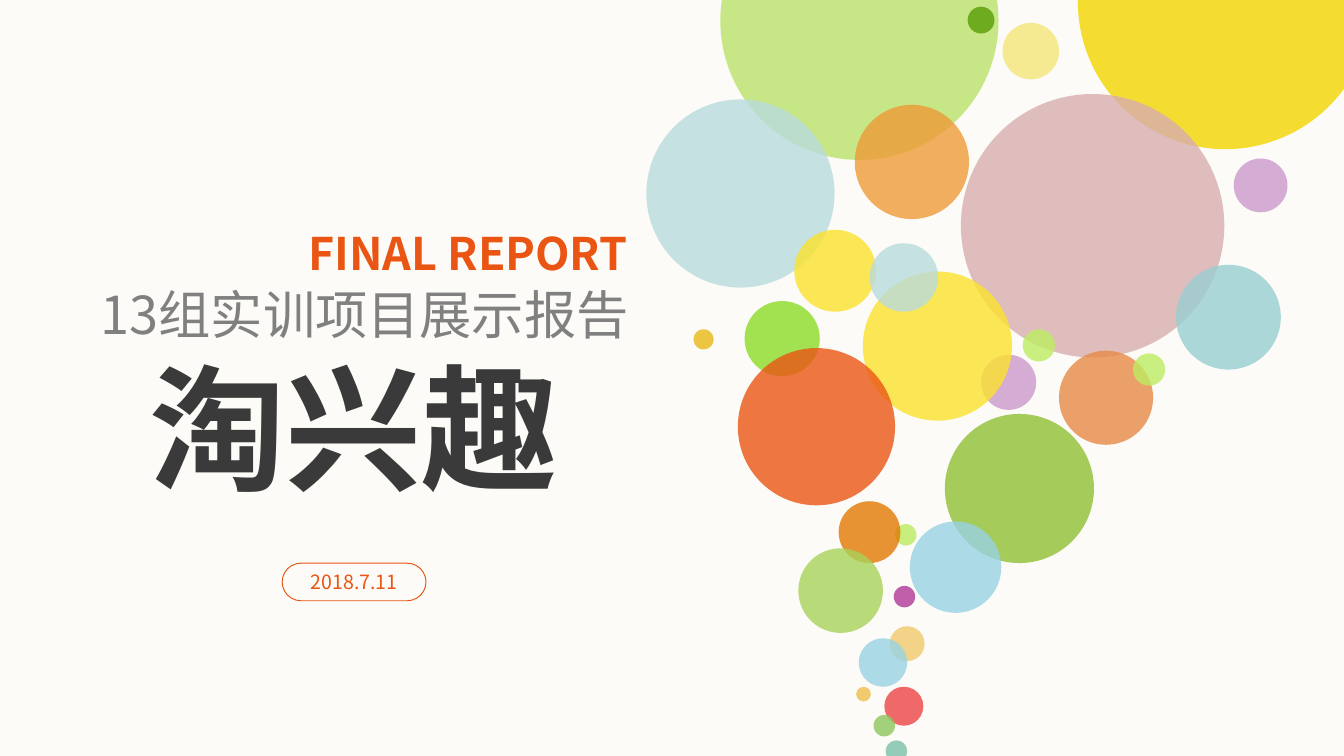
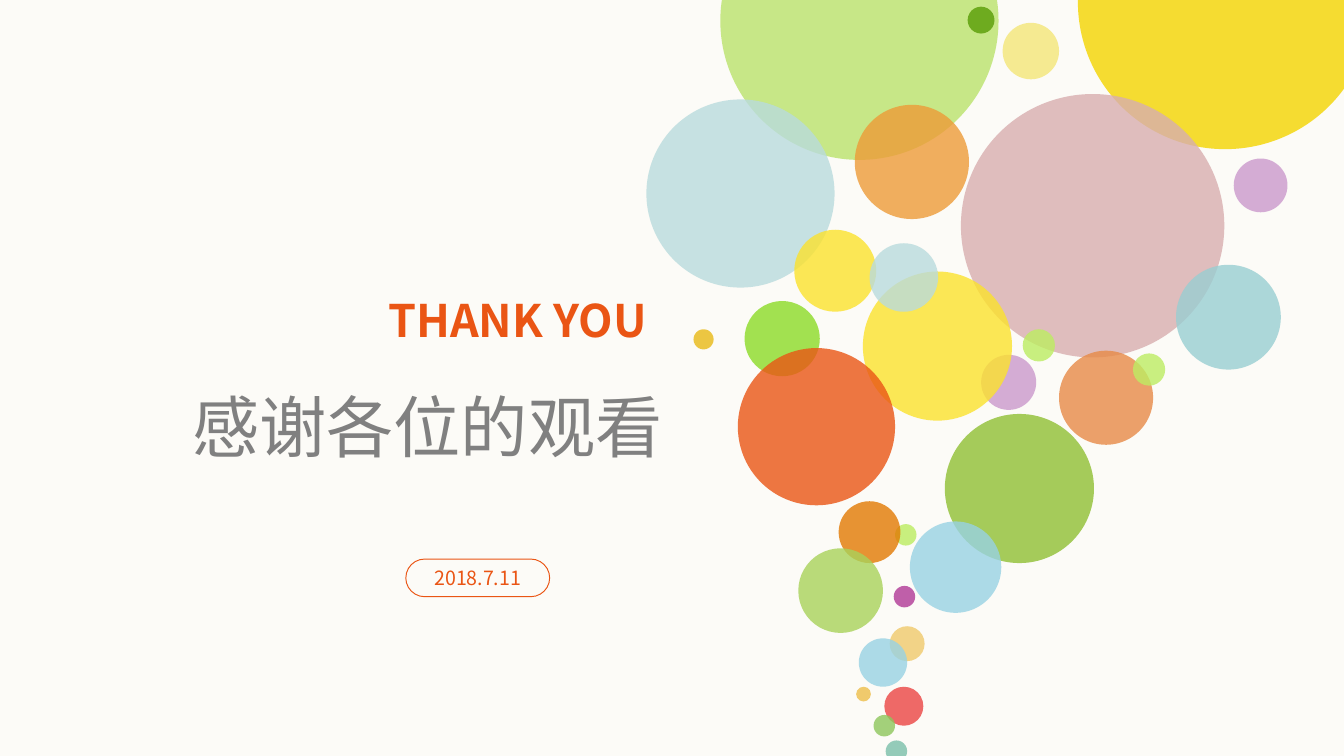
from lxml.etree import SubElement
from pptx import Presentation
from pptx.dml.color import RGBColor
from pptx.enum.shapes import MSO_SHAPE
from pptx.enum.text import MSO_ANCHOR, MSO_AUTO_SIZE, PP_ALIGN
from pptx.oxml.ns import qn
from pptx.util import Pt

PX = 9144  # 100 px to the inch
FONT = "Noto Sans CJK SC"
ORANGE, GREY, CHARCOAL, CREAM = "EA5514", "808080", "3A3A3A", "FCFBF7"
rgb = RGBColor.from_string

# left, top, diameter, colour, opacity in percent; from back to front
BUBBLES = [
    (536, -88, 207, "BAE36B", 80),
    (720, 5, 20, "6EAB1F", 100),
    (481, 74, 140, "B9DBDD", 80),
    (636, 78, 85, "ED9B38", 80),
    (746, 17, 42, "F5EA91", 100),
    (802, -108, 219, "F4D500", 80),
    (715, 70, 196, "D8AEAF", 80),
    (875, 197, 78, "99CED2", 80),
    (918, 118, 40, "CB99CC", 80),
    (788, 261, 70, "E78A47", 80),
    (703, 308, 111, "A5CB5A", 100),
    (843, 263, 24, "BDED63", 80),
    (761, 245, 24, "BCED61", 80),
    (730, 264, 41, "CB99CC", 80),
    (642, 202, 111, "FBE22D", 80),
    (591, 171, 61, "FBE22D", 80),
    (554, 224, 56, "8CDB27", 80),
    (516, 245, 15, "E9B915", 80),
    (666, 390, 16, "BCED60", 80),
    (665, 436, 16, "B03896", 80),
    (662, 466, 26, "F0CA6C", 80),
    (637, 511, 11, "F0CA6C", 100),
    (659, 551, 16, "7BBFAA", 80),
    (658, 511, 29, "EB4544", 80),
    (650, 532, 16, "8DC65B", 80),
    (639, 475, 36, "98D2E3", 80),
    (647, 181, 51, "B9DBDD", 80),
    (677, 388, 68, "98D2E3", 80),
    (624, 373, 46, "E27902", 80),
    (594, 408, 63, "A9D25A", 80),
    (549, 259, 117, "EA5514", 80),
]

# Lines hold: text, box, size, colour, bold, alignment
SLIDES = [
    {
        "title": ("淘兴趣", (111, 256, 304, 123), 73, CHARCOAL, True, PP_ALIGN.LEFT),
        "english": ("FINAL REPORT", (138, 168, 329, 40), 24, ORANGE, True, PP_ALIGN.RIGHT),
        "topic": ("13组实训项目展示报告", (75, 210, 428, 47), 28, GREY, False, PP_ALIGN.LEFT),
        "date_at": (210, 419),
    },
    {
        "title": ("感谢各位的观看", (143, 287, 394, 61), 36, GREY, False, PP_ALIGN.LEFT),
        "english": ("THANK YOU", (89, 218, 392, 40), 24, ORANGE, True, PP_ALIGN.RIGHT),
        "date_at": (302, 416),
    },
]


def style_text(shape, text, size, color, bold, align):
    paragraph = shape.text_frame.paragraphs[0]
    paragraph.text = text
    paragraph.alignment = align
    paragraph.space_before = Pt(0)
    run = paragraph.runs[0]
    run.font.name = FONT
    run.font.size = Pt(size)
    run.font.bold = bold
    run.font.color.rgb = rgb(color)
    SubElement(run.font._element, qn("a:ea"), typeface=FONT)


def place_line(shape, text, box, size, color, bold, align):
    shape.left, shape.top, shape.width, shape.height = [n * PX for n in box]
    frame = shape.text_frame
    frame.margin_left = frame.margin_top = frame.margin_right = frame.margin_bottom = 0
    frame.vertical_anchor = MSO_ANCHOR.TOP
    frame.auto_size = MSO_AUTO_SIZE.SHAPE_TO_FIT_TEXT
    frame.word_wrap = size < 73
    style_text(shape, text, size, color, bold, align)


prs = Presentation()
prs.slide_width = 1000 * PX
prs.slide_height = prs.slide_width * 9 // 16

background = prs.slide_master.background.fill
background.solid()
background.fore_color.rgb = rgb(CREAM)

for content in SLIDES:
    slide = prs.slides.add_slide(prs.slide_layouts[0])

    for left, top, diameter, color, opacity in BUBBLES:
        bubble = slide.shapes.add_shape(
            MSO_SHAPE.OVAL, left * PX, top * PX, diameter * PX, diameter * PX)
        bubble.shadow.inherit = False
        bubble.line.fill.background()
        bubble.fill.solid()
        bubble.fill.fore_color.rgb = rgb(color)
        if opacity < 100:
            tint = bubble._element.spPr.find(qn("a:solidFill")).find(qn("a:srgbClr"))
            SubElement(tint, qn("a:alpha"), val=str(opacity * 1000))

    if "topic" in content:
        place_line(slide.shapes.add_textbox(0, 0, 0, 0), *content["topic"])
    place_line(slide.shapes.title, *content["title"])
    place_line(slide.placeholders[1], *content["english"])

    date_left, date_top = content["date_at"]
    date_pill = slide.shapes.add_shape(
        MSO_SHAPE.ROUNDED_RECTANGLE, date_left * PX, date_top * PX, 107 * PX, 28 * PX)
    date_pill.adjustments[0] = 0.5
    date_pill.shadow.inherit = False
    date_pill.fill.background()
    date_pill.line.color.rgb = rgb(ORANGE)
    date_pill.line.width = Pt(0.5)
    date_pill.text_frame.vertical_anchor = MSO_ANCHOR.MIDDLE
    style_text(date_pill, "2018.7.11", 10.5, ORANGE, False, PP_ALIGN.CENTER)

prs.save("out.pptx")
